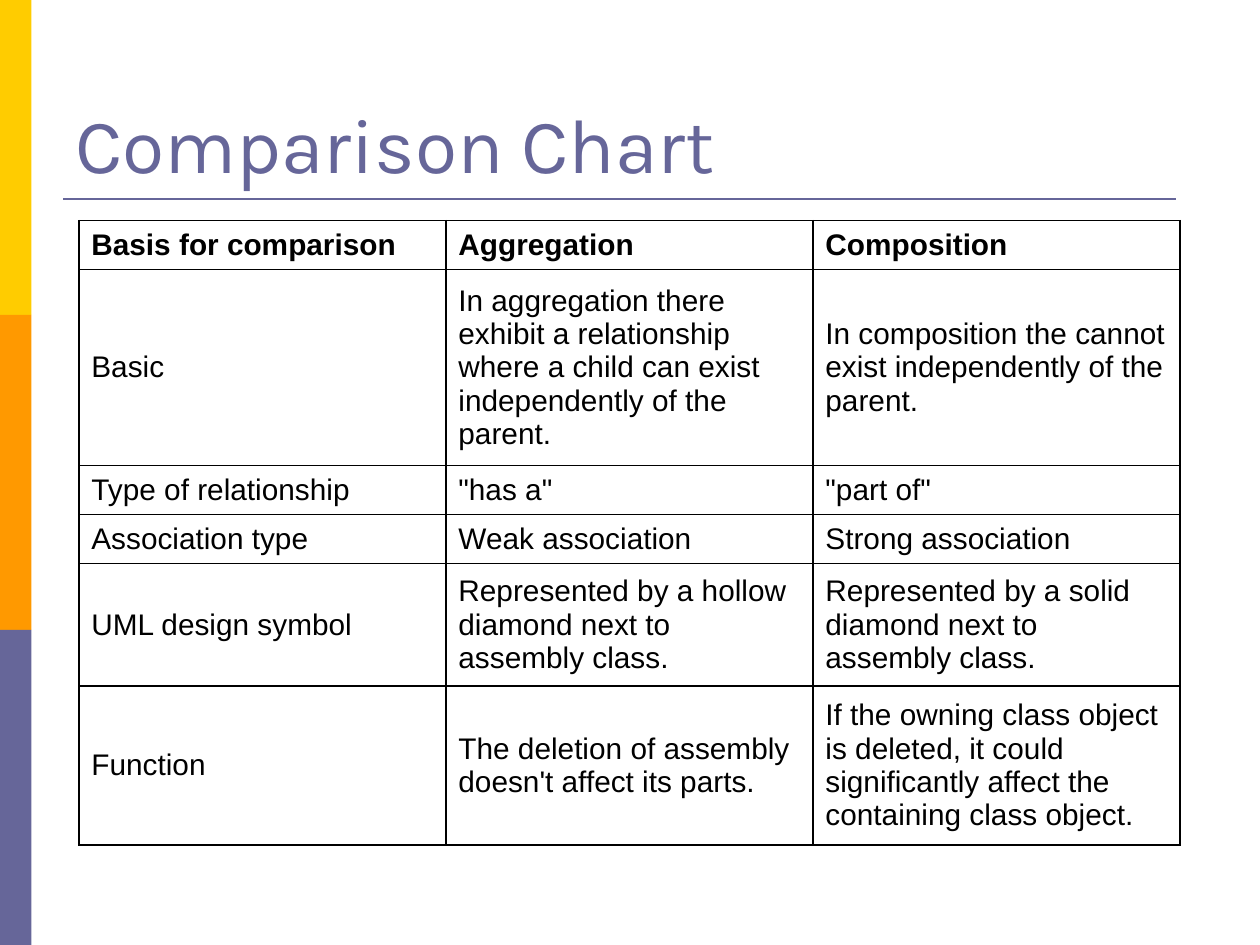
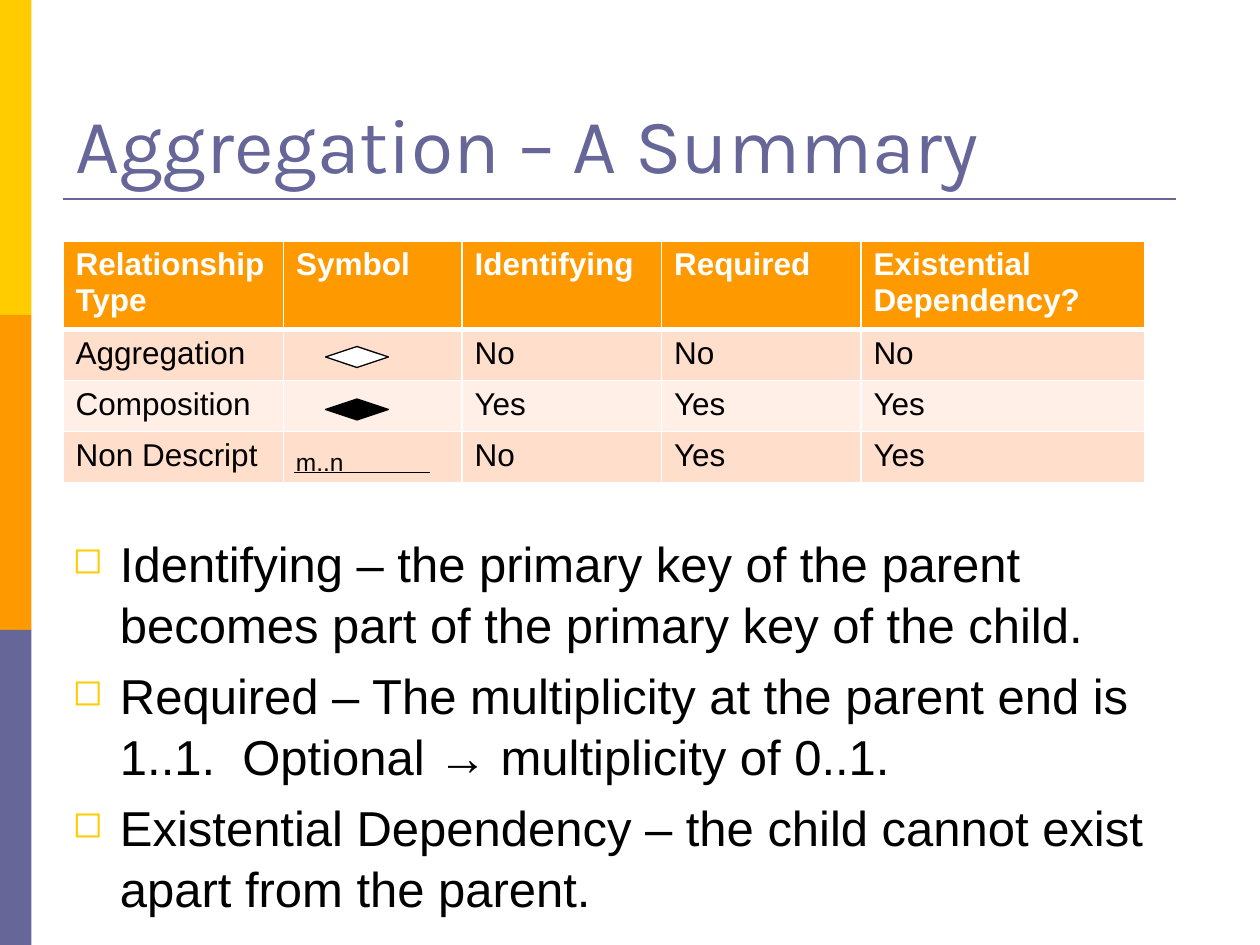
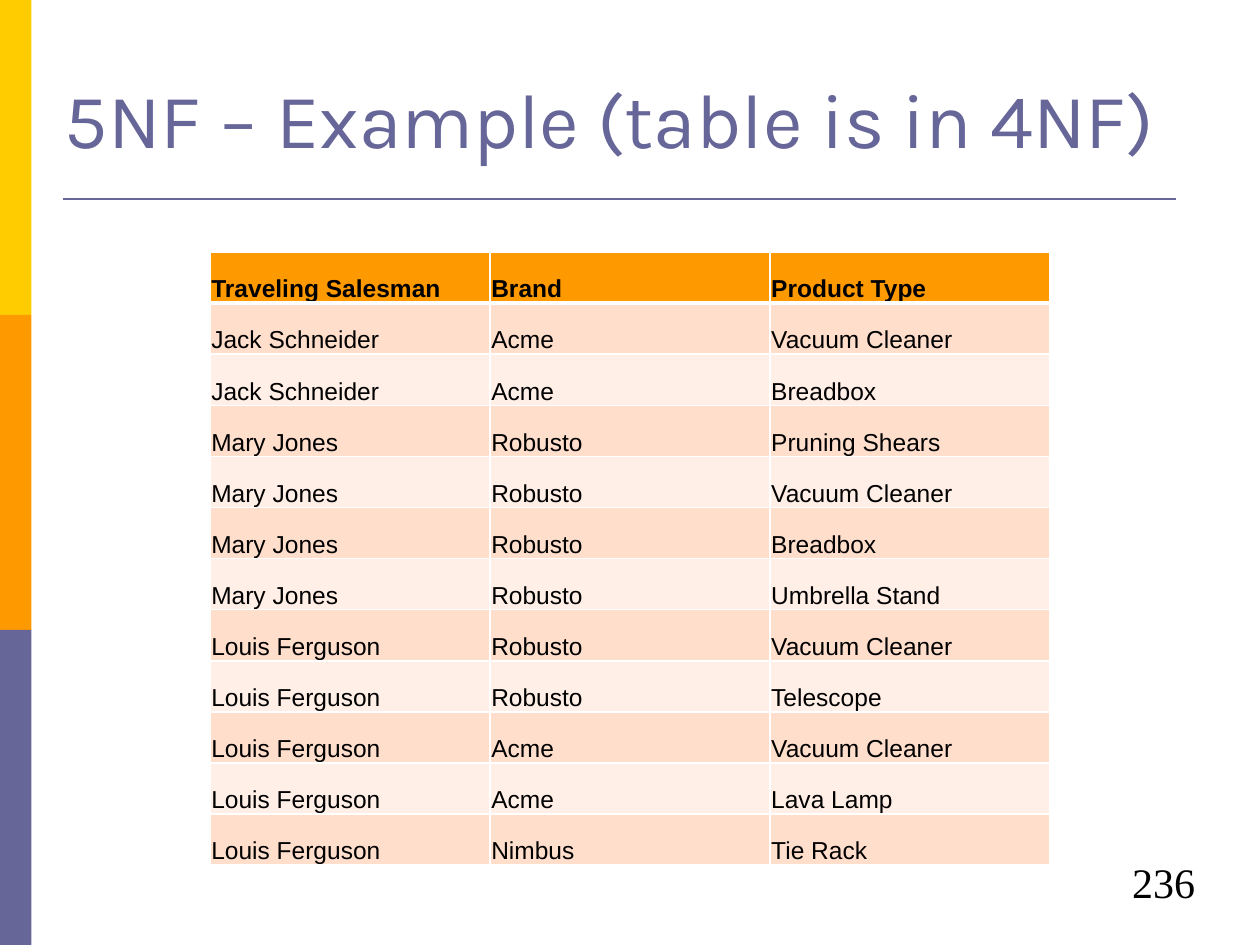
import lxml.etree
import pptx
import pptx.dml.color
import pptx.enum.shapes
import pptx.enum.text
import pptx.oxml.ns
import pptx.util

Pt = pptx.util.Pt
qn = pptx.oxml.ns.qn
SHAPE = pptx.enum.shapes.MSO_SHAPE
ANCHOR = pptx.enum.text.MSO_ANCHOR
ALIGN = pptx.enum.text.PP_ALIGN

COLORS = {
    "yellow": "FFCC00",
    "orange": "FF9900",
    "violet": "666699",
    "peach": "FFDECC",
    "cream": "FFEFE7",
    "white": "FFFFFF",
    "black": "000000",
}


def rgb(name):
    return pptx.dml.color.RGBColor.from_string(COLORS[name])


def add_xml(parent, tag, **attrs):
    return lxml.etree.SubElement(parent, qn(tag), attrs)


class Deck:
    body_font = "Arial"
    title_font = "Karla"
    width, height = 720, 540

    def __init__(self):
        self.prs = pptx.Presentation()
        self.prs.slide_width = Pt(self.width)
        self.prs.slide_height = Pt(self.height)
        self.s = None

    def slide(self):
        """Start a slide with the side bands and the rule under the title."""
        self.s = self.prs.slides.add_slide(self.prs.slide_layouts[6])
        band = self.height / 3
        for i, color in enumerate(("yellow", "orange", "violet")):
            self.shape(SHAPE.RECTANGLE, (0, i * band, 18, band), color)
        self.line((36, 113.75), (672, 113.75), "violet", 1.5)

    def shape(self, kind, box, fill, line=None):
        sp = self.s.shapes.add_shape(kind, *map(Pt, box))
        sp.shadow.inherit = False
        sp.fill.solid()
        sp.fill.fore_color.rgb = rgb(fill)
        if line:
            sp.line.color.rgb = rgb(line)
            sp.line.width = Pt(0.75)
        else:
            sp.line.fill.background()

    def line(self, start, end, color="black", width=0.75):
        straight = pptx.enum.shapes.MSO_CONNECTOR.STRAIGHT
        ln = self.s.shapes.add_connector(straight, *map(Pt, start + end))
        ln.line.color.rgb = rgb(color)
        ln.line.width = Pt(width)
        add_xml(ln._element.spPr, "a:effectLst")

    def style(self, p, size, color="black", bold=False, font=None):
        for r in p.runs:
            r.font.name = font or self.body_font
            r.font.size = Pt(size)
            r.font.bold = bold
            r.font.color.rgb = rgb(color)

    def text(self, box, paragraphs, size, color="black", font=None,
             anchor=ANCHOR.TOP, align=ALIGN.LEFT):
        """Add a text box; each paragraph is a list of run texts."""
        tf = self.s.shapes.add_textbox(*map(Pt, box)).text_frame
        tf.word_wrap = True
        tf.vertical_anchor = anchor
        for i, runs in enumerate(paragraphs):
            p = tf.add_paragraph() if i else tf.paragraphs[0]
            p.alignment = align
            for run_text in runs:
                p.add_run().text = run_text
            self.style(p, size, color, font=font)
        return tf

    def title(self, *runs, box=(36, 21.6, 648, 90)):
        return self.text(box, [runs], 44, "violet", self.title_font, ANCHOR.BOTTOM)

    def bullets(self, box, items, size=28):
        tf = self.text(box, [[item] for item in items], size)
        indent = Pt(27)
        for p in tf.paragraphs:
            p.space_before = Pt(size * 0.2)
            p.line_spacing = 1.04
            pPr = p._p.get_or_add_pPr()
            pPr.set("marL", str(indent))
            pPr.set("indent", str(-indent))
            bu_color = add_xml(pPr, "a:buClr")
            add_xml(bu_color, "a:srgbClr", val=COLORS["yellow"])
            add_xml(pPr, "a:buSzPct", val="75000")
            add_xml(pPr, "a:buChar", char="◻")

    def borders(self, cell, color, top, bottom):
        tcPr = cell._tc.get_or_add_tcPr()
        widths = {"a:lnL": 1, "a:lnR": 1, "a:lnT": top, "a:lnB": bottom}
        for i, (tag, width) in enumerate(widths.items()):
            ln = add_xml(tcPr, tag, w=str(Pt(width)))
            add_xml(add_xml(ln, "a:solidFill"), "a:srgbClr", val=COLORS[color])
            tcPr.insert(i, ln)

    def table(self, left, top, cols, heights, rows, size, head_color="black",
              banded=True, anchor=ANCHOR.TOP, insets=(7.2, 3.6, 7.2, 3.6)):
        """Add a table whose first row is a bold header."""
        frame = self.s.shapes.add_table(
            len(rows), len(cols), Pt(left), Pt(top), Pt(sum(cols)), Pt(sum(heights)))
        tbl = frame.table
        tbl.first_row = tbl.horz_banding = False
        for col, width in zip(tbl.columns, cols):
            col.width = Pt(width)
        for i, (row, height, texts) in enumerate(zip(tbl.rows, heights, rows)):
            row.height = Pt(height)
            header = i == 0
            for cell, cell_text in zip(row.cells, texts):
                cell.text_frame.text = cell_text
                self.style(cell.text_frame.paragraphs[0], size,
                           head_color if header else "black", header)
                cell.vertical_anchor = anchor
                (cell.margin_left, cell.margin_top,
                 cell.margin_right, cell.margin_bottom) = map(Pt, insets)
                if banded:
                    cell.fill.solid()
                    band = "peach" if i % 2 else "cream"
                    cell.fill.fore_color.rgb = rgb("orange" if header else band)
                    self.borders(cell, "white", 3 if i == 1 else 1, 3 if header else 1)
                else:
                    cell.fill.background()
                    self.borders(cell, "black", 1, 1)


def comparison_slide(deck):
    deck.slide()
    deck.title("Comparison Chart")
    rows = [
        ("Basis for comparison", "Aggregation", "Composition"),
        ("Basic",
         "In aggregation there exhibit a relationship where a child can exist "
         "independently of the parent.",
         "In composition the cannot exist independently of the parent."),
        ("Type of relationship", '"has a"', '"part of"'),
        ("Association type", "Weak association", "Strong association"),
        ("UML design symbol",
         "Represented by a hollow diamond next to assembly class.",
         "Represented by a solid diamond next to assembly class."),
        ("Function",
         "The deletion of assembly doesn't affect its parts.",
         "If the owning class object is deleted, it could significantly affect "
         "the containing class object."),
    ]
    deck.table(45, 126, [209.75] * 3, [28, 112, 28, 28, 70, 91], rows, 17,
               banded=False, anchor=ANCHOR.MIDDLE)


def summary_slide(deck):
    deck.slide()
    deck.title("Aggregation – A Summary")
    rows = [
        ("Relationship Type", "Symbol", "Identifying", "Required",
         "Existential Dependency?"),
        ("Aggregation", "", "No", "No", "No"),
        ("Composition", "", "Yes", "Yes", "Yes"),
        ("Non Descript", "", "No", "Yes", "Yes"),
    ]
    deck.table(36, 137.75, [126, 102, 114, 114, 162], [46.8] + [29.2] * 3, rows, 18,
               head_color="white")
    for top, fill in ((198, "white"), (228, "black")):
        deck.shape(SHAPE.FLOWCHART_DECISION, (186, top, 36, 12), fill, "black")
    deck.line((168, 270), (246, 270))
    deck.text((162, 252, 48, 24.25), [["m..n"]], 14)
    deck.bullets((34.5, 300, 648, 234), [
        "Identifying – the primary key of the parent becomes part of the primary "
        "key of the child.",
        "Required – The multiplicity at the parent end is 1..1.  Optional → "
        "multiplicity of 0..1.",
        "Existential Dependency – the child cannot exist apart from the parent.",
    ])


def fifth_normal_form_slide(deck):
    deck.slide()
    deck.text((540, 486, 150, 36), [["236"]], 24, font="Times New Roman",
              align=ALIGN.RIGHT)
    tf = deck.title("5NF ", "–", " Example (table is in 4NF)", box=(30, 44, 660, 53.25))
    tf.paragraphs[0].runs[1].font.name = "Calibri"
    sales = [
        ("Jack Schneider", "Acme", ["Vacuum Cleaner", "Breadbox"]),
        ("Mary Jones", "Robusto",
         ["Pruning Shears", "Vacuum Cleaner", "Breadbox", "Umbrella Stand"]),
        ("Louis Ferguson", "Robusto", ["Vacuum Cleaner", "Telescope"]),
        ("Louis Ferguson", "Acme", ["Vacuum Cleaner", "Lava Lamp"]),
        ("Louis Ferguson", "Nimbus", ["Tie Rack"]),
    ]
    rows = [("Traveling Salesman", "Brand", "Product Type")]
    rows += [(seller, brand, product)
             for seller, brand, products in sales for product in products]
    deck.table(120, 144, [160] * 3, [29.2] * len(rows), rows, 14,
               anchor=ANCHOR.BOTTOM, insets=(0.75, 0.75, 0.75, 0))


def main():
    deck = Deck()
    comparison_slide(deck)
    summary_slide(deck)
    fifth_normal_form_slide(deck)
    deck.prs.save("out.pptx")


if __name__ == "__main__":
    main()
